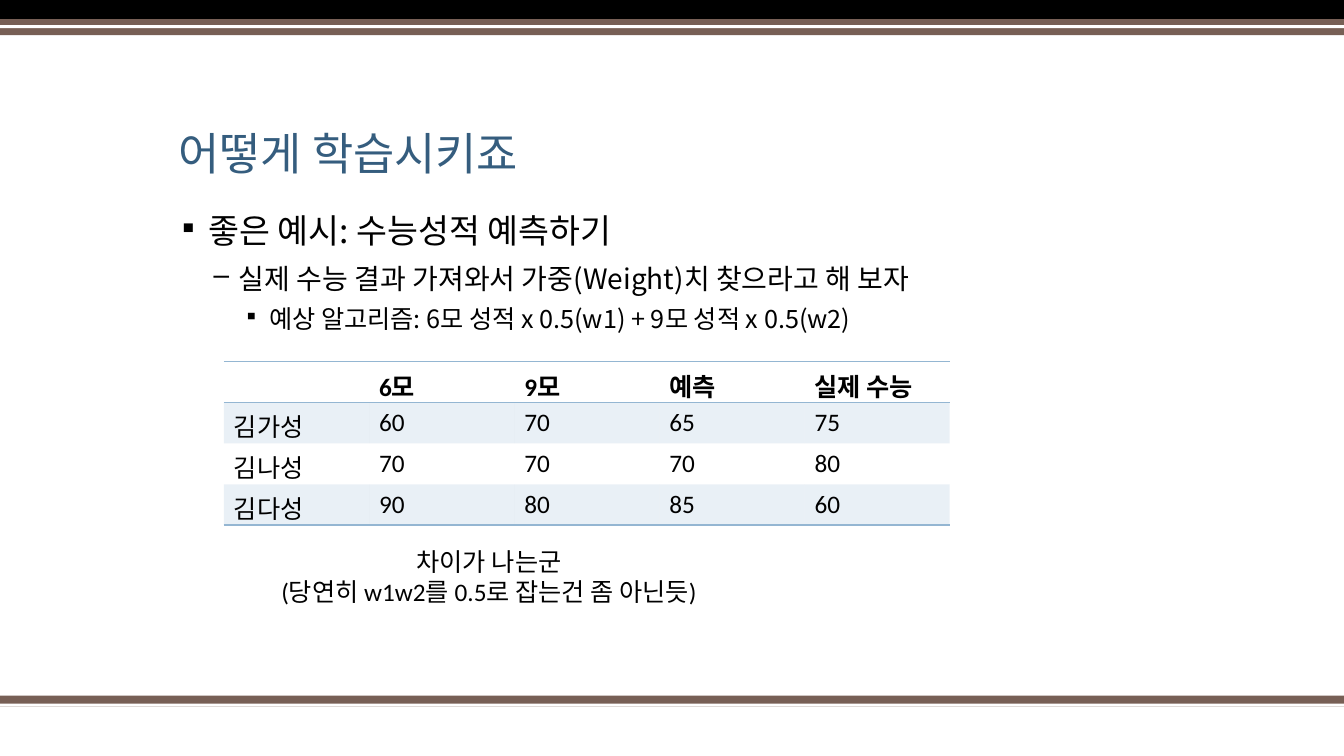
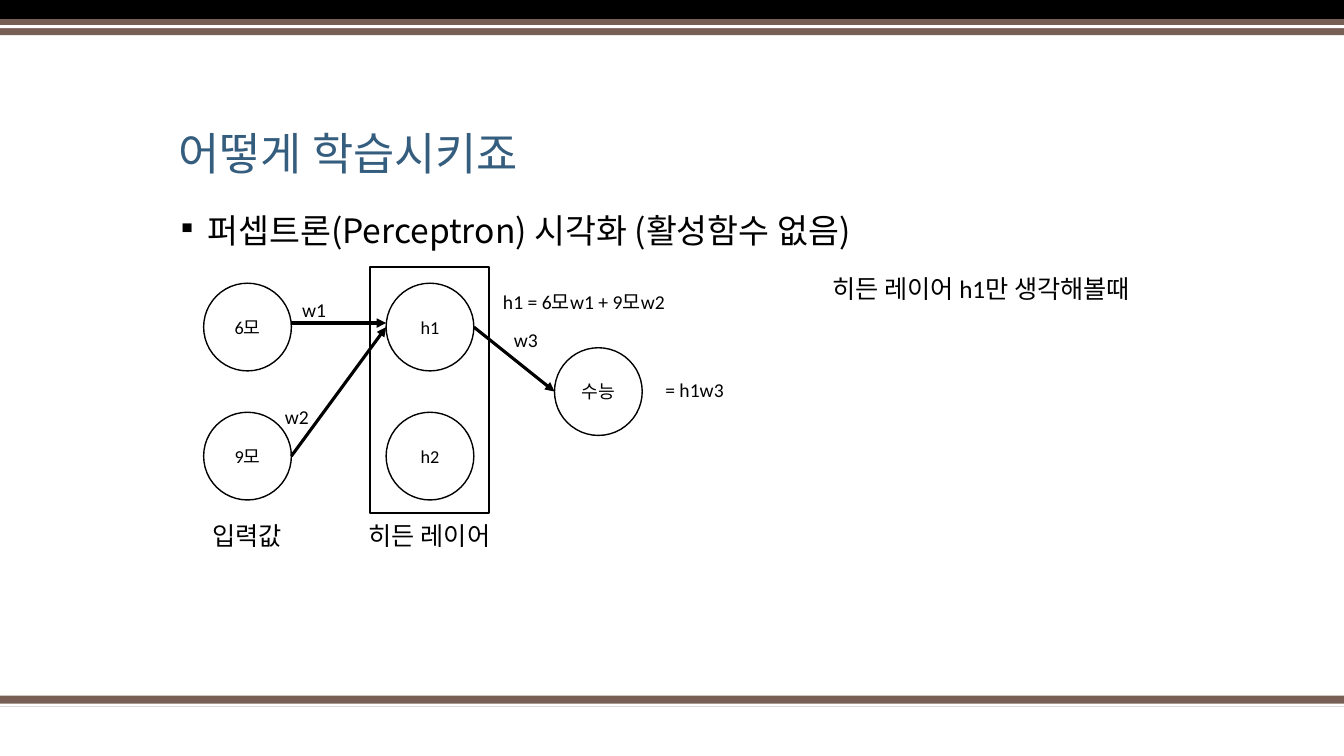
from dataclasses import dataclass

from lxml.etree import SubElement
from pptx import Presentation
from pptx.dml.color import RGBColor
from pptx.enum.shapes import MSO_CONNECTOR, MSO_SHAPE
from pptx.enum.text import MSO_ANCHOR, PP_ALIGN
from pptx.oxml.ns import qn
from pptx.util import Pt

PX = 9144  # EMU per px, 100 px to the inch


@dataclass(frozen=True)
class Theme:
    sans: str = "Calibri"
    hangul: str = "Noto Sans CJK KR"
    ink: str = "000000"
    paper: str = "FFFFFF"
    band: str = "775F55"
    head: str = "355D7E"
    grid: str = "94B6D2"
    title: int = 32
    text: int = 18
    label: int = 14
    node: int = 13


THEME = Theme()
WIDE, HIGH = 1333, 750

# Shared by both slides
TITLE = "어떻게 학습시키죠"
BANDS = [  # top, height, colour
    (690, 11, THEME.band), (698, 3, THEME.paper),
    (0, 19, THEME.ink), (19, 16, THEME.band), (25, 3, THEME.paper),
]
LEVELS = [  # bullet, bullet size %, left margin, hanging, space before, type size
    ("▪", 80, 30, 30, 18, 24),
    ("–", 100, 60, 25, 10, 20),
    ("▪", 80, 90, 25, 8, 18),
]

# Slide 1
POINTS = [
    "좋은 예시: 수능성적 예측하기",
    "실제 수능 결과 가져와서 가중(Weight)치 찾으라고 해 보자",
    "예상 알고리즘: 6모 성적 x 0.5(w1) + 9모 성적 x 0.5(w2)",
]
SCORES = [
    ["", "6모", "9모", "예측", "실제 수능"],
    ["김가성", "60", "70", "65", "75"],
    ["김나성", "70", "70", "70", "80"],
    ["김다성", "90", "80", "85", "60"],
]
REMARK = "차이가 나는군\n(당연히 w1w2를 0.5로 잡는건 좀 아닌듯)"

# Slide 2
TOPIC = ["퍼셉트론(Perceptron) 시각화 (활성함수 없음)"]
SIDE = 87
NODES = {"6모": (202, 281), "9모": (202, 409), "h1": (383, 281),
         "h2": (383, 409), "수능": (550, 345)}
EDGES = [("6모", "h1", -4), ("h1", "수능", 0), ("9모", "h1", 0)]  # last: shift down
LAYER = (367, 265, 118, 244)
NOTES = [  # text, left, top, width
    ("입력값", 190, 509, 110),
    ("히든 레이어", 302, 509, 248),
    ("히든 레이어 h1만 생각해볼때", 792, 264, 362),
]
WEIGHTS = [("w1", 268, 285), ("w2", 251, 391), ("w3", 478, 314)]
SUMS = [("h1 = 6모w1 + 9모w2", 489, 277), ("= h1w3", 650, 364)]
ROW = 45


def emu(*px):
    return [round(n * PX) for n in px]


def rgb(code):
    return RGBColor.from_string(code)


def style(frame, size, color=THEME.ink, face=THEME.sans, align=PP_ALIGN.LEFT, bold=False):
    for para in frame.paragraphs:
        para.alignment = align
        for run in para.runs:
            font = run.font
            font.size, font.name, font.bold = Pt(size), face, bold
            font.color.rgb = rgb(color)
            SubElement(run._r.get_or_add_rPr(), qn("a:ea"), typeface=THEME.hangul)


def block(slide, kind, box, fill=None, line=None):
    shape = slide.shapes.add_shape(kind, *emu(*box))
    shape.shadow.inherit = False
    if fill:
        shape.fill.solid()
        shape.fill.fore_color.rgb = rgb(fill)
    else:
        shape.fill.background()
    if line:
        shape.line.color.rgb = rgb(line)
        shape.line.width = Pt(1)
    else:
        shape.line.fill.background()
    return shape


def write(shape, text, size, anchor=MSO_ANCHOR.MIDDLE, **looks):
    frame = shape.text_frame
    frame.word_wrap = True
    frame.vertical_anchor = anchor
    frame.text = text
    style(frame, size, **looks)
    return frame


def label(slide, text, box, size, **looks):
    return write(slide.shapes.add_textbox(*emu(*box)), text, size, **looks)


def note(slide, text, box):
    shape = block(slide, MSO_SHAPE.RECTANGLE, box, fill=THEME.paper)
    write(shape, text, THEME.text, align=PP_ALIGN.CENTER)


def base(deck):
    """Blank slide with the bands and the title."""
    slide = deck.slides.add_slide(deck.slide_layouts[6])
    for top, high, color in BANDS:
        block(slide, MSO_SHAPE.RECTANGLE, (0, top, WIDE, high), fill=color)
    frame = label(slide, TITLE, (167, 67, 1000, 117), THEME.title,
                  anchor=MSO_ANCHOR.BOTTOM, color=THEME.head, face=THEME.hangul)
    frame.paragraphs[0].line_spacing = 0.9
    return slide


def bullets(slide, lines, box):
    """One line per outline level."""
    frame = label(slide, "\n".join(lines), box, THEME.text,
                  anchor=MSO_ANCHOR.TOP, face=THEME.hangul)
    for level, (para, look) in enumerate(zip(frame.paragraphs, LEVELS)):
        mark, scale, left, hang, gap, size = look
        para.level = level
        para.line_spacing = 0.9
        if level:
            para.space_before = Pt(gap)
        props = para._p.get_or_add_pPr()
        props.set("marL", str(left * PX))
        props.set("indent", str(-hang * PX))
        tint = SubElement(props, qn("a:buClr"))
        SubElement(tint, qn("a:srgbClr"), val=THEME.ink)
        SubElement(props, qn("a:buSzPct"), val=str(scale * 1000))
        SubElement(props, qn("a:buChar"), char=mark)
        para.runs[0].font.size = Pt(size)


def border(cell, edge):
    line = SubElement(cell._tc.get_or_add_tcPr(), qn("a:" + edge), w=str(Pt(1)))
    fill = SubElement(line, qn("a:solidFill"))
    SubElement(fill, qn("a:srgbClr"), val=THEME.grid)


def shade(cell):
    cell.fill.solid()
    cell.fill.fore_color.rgb = rgb(THEME.grid)
    for color in cell._tc.tcPr.find(qn("a:solidFill")):
        SubElement(color, qn("a:alpha"), val="20000")


def table(slide, rows, box):
    holder = slide.shapes.add_table(len(rows), len(rows[0]), *emu(*box))
    for ident in holder.element.iter(qn("a:tableStyleId")):
        ident.text = "{2D5ABB26-0587-4C30-8999-92F81FD0307C}"  # no style, no grid
    last = len(rows) - 1
    for r, row in enumerate(rows):
        for c, text in enumerate(row):
            cell = holder.table.cell(r, c)
            cell.text = text
            style(cell.text_frame, THEME.text, bold=r == 0)
            if r == 0:
                border(cell, "lnT")
            if r in (0, last):
                border(cell, "lnB")
            if r % 2:
                shade(cell)
            else:
                cell.fill.background()


def arrow(slide, start, end, shift):
    (x1, y1), (x2, y2) = NODES[start], NODES[end]
    mid = SIDE / 2 + shift
    line = slide.shapes.add_connector(
        MSO_CONNECTOR.STRAIGHT, *emu(x1 + SIDE, y1 + mid, x2, y2 + mid))
    line.line.color.rgb = rgb(THEME.ink)
    line.line.width = Pt(2.25)
    SubElement(line.line._get_or_add_ln(), qn("a:tailEnd"), type="triangle")
    SubElement(line.element.spPr, qn("a:effectLst"))


def scores(deck):
    slide = base(deck)
    bullets(slide, POINTS, (167, 208, 1091, 404))
    table(slide, SCORES, (222, 359, 720, 162))
    note(slide, REMARK, (241, 549, 488, ROW))


def network(deck):
    slide = base(deck)
    bullets(slide, TOPIC, (166, 208, 1000, 404))
    for name, spot in NODES.items():
        node = block(slide, MSO_SHAPE.FLOWCHART_CONNECTOR, (*spot, SIDE, SIDE), line=THEME.ink)
        write(node, name, THEME.node, align=PP_ALIGN.CENTER)
    for edge in EDGES:
        arrow(slide, *edge)
    for text, *box in NOTES:
        note(slide, text, (*box, ROW))
    block(slide, MSO_SHAPE.RECTANGLE, LAYER, line=THEME.ink)
    for text, *spot in WEIGHTS:
        label(slide, text, (*spot, SIDE, ROW), THEME.label, align=PP_ALIGN.CENTER)
    for text, *spot in SUMS:
        label(slide, text, (*spot, 335, ROW), THEME.label)


def main():
    deck = Presentation()
    deck.slide_width, deck.slide_height = emu(WIDE, HIGH)
    scores(deck)
    network(deck)
    deck.save("out.pptx")


if __name__ == "__main__":
    main()
